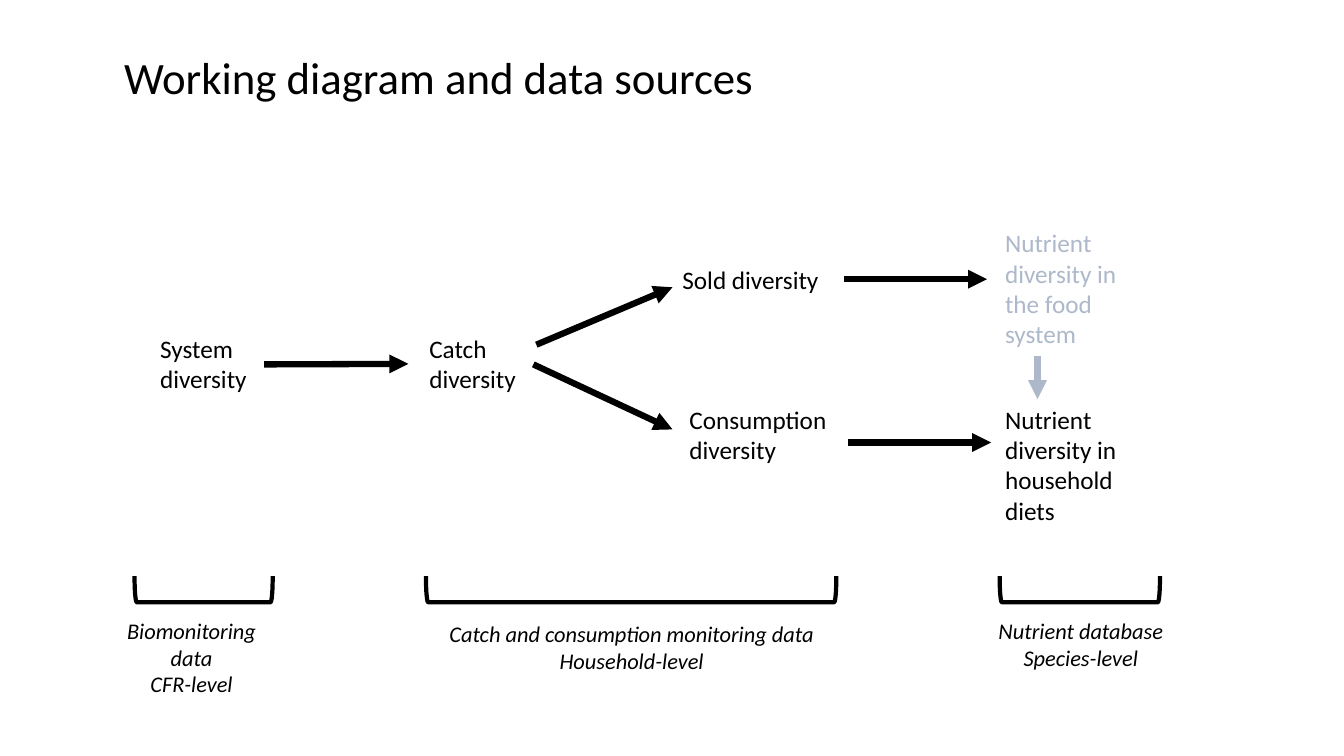
from dataclasses import dataclass

from lxml import etree
from pptx import Presentation
from pptx import util as u
from pptx.dml.color import RGBColor
from pptx.enum import shapes, text
from pptx.oxml import ns


@dataclass(frozen=True)
class Theme:
    """Fonts, colours, type sizes and line weights of the slide."""
    font: str = "Calibri"
    ink: str = "000000"
    muted: str = "ADB9CA"
    title: int = 32
    label: int = 18
    caption: int = 16
    arrow: float = 4.5
    bracket: float = 3
    cell: float = 0.1


class DiagramPage:
    """Draws diagram elements on one slide, on a grid of square cells."""

    def __init__(self, deck, theme):
        """Add a title-only slide to the deck."""
        self.theme = theme
        self.page = deck.slides.add_slide(deck.slide_layouts[5])

    def cells(self, *counts):
        """Turn counts of grid cells into lengths."""
        return [u.Inches(count * self.theme.cell) for count in counts]

    def fill_text(self, box, lines, size, color, align, italic=False):
        """Fill a box with formatted paragraphs."""
        frame = box.text_frame
        frame_format = {
            "word_wrap": True,
            "auto_size": text.MSO_AUTO_SIZE.SHAPE_TO_FIT_TEXT,
            "vertical_anchor": text.MSO_ANCHOR.TOP,
        }
        for name, value in frame_format.items():
            setattr(frame, name, value)
        font_format = {"name": self.theme.font, "size": u.Pt(size), "italic": italic}
        for index, line in enumerate(lines):
            para = frame.add_paragraph() if index else frame.paragraphs[0]
            para.alignment = align
            span = para.add_run()
            span.text = line
            for name, value in font_format.items():
                setattr(span.font, name, value)
            span.font.color.rgb = RGBColor.from_string(color)

    def title(self, line, *area):
        """Place and fill the slide title."""
        box = self.page.shapes.title
        for name, value in zip(("left", "top", "width", "height"), self.cells(*area)):
            setattr(box, name, value)
        self.fill_text(box, [line], self.theme.title, self.theme.ink,
                       text.PP_ALIGN.LEFT)

    def label(self, line, *area, color=None):
        """Add a node of the diagram and return it."""
        box = self.page.shapes.add_textbox(*self.cells(*area))
        self.fill_text(box, [line], self.theme.label, color or self.theme.ink,
                       text.PP_ALIGN.LEFT)
        return box

    def caption(self, lines, *area):
        """Add a centred italic caption."""
        box = self.page.shapes.add_textbox(*self.cells(*area))
        self.fill_text(box, lines, self.theme.caption, self.theme.ink,
                       text.PP_ALIGN.CENTER, italic=True)

    def bracket(self, left, top, width, depth):
        """Add a bracket that opens upwards over the given area."""
        shift = (width - depth) / 2
        area = self.cells(left + shift, top - shift, depth, width)
        shape = self.page.shapes.add_shape(shapes.MSO_SHAPE.LEFT_BRACKET, *area)
        shape.rotation = 270
        shape.shadow.inherit = False
        shape.fill.background()
        self.stroke(shape.line, self.theme.ink, self.theme.bracket)

    def stroke(self, line, color, weight):
        """Set the colour and weight of a line."""
        line.color.rgb = RGBColor.from_string(color)
        line.width = u.Pt(weight)

    def arrow(self, start, end, source=None, color=None):
        """Add an arrow, joined to the right side of a source if given."""
        link = self.page.shapes.add_connector(
            shapes.MSO_CONNECTOR.STRAIGHT, *self.cells(*start, *end))
        if source is not None:
            link.begin_connect(source, 3)
        self.stroke(link.line, color or self.theme.ink, self.theme.arrow)
        properties = link.element.spPr
        outline = properties.find(ns.qn("a:ln"))
        etree.SubElement(outline, ns.qn("a:tailEnd"), type="triangle")
        etree.SubElement(properties, ns.qn("a:effectLst"))


def main():
    """Build and save the slide."""
    deck = Presentation()
    deck.slide_width, deck.slide_height = u.Inches(13.33), u.Inches(7.5)
    theme = Theme()
    diagram = DiagramPage(deck, theme)
    diagram.title("Working diagram and data sources", 11.3, 4.4, 72.4, 6.4)

    for left, width in ((13.35, 13.7), (42.25, 40.7), (99.15, 15.9)):
        diagram.bracket(left, 57.15, width, 2.6)
    diagram.caption(["Biomonitoring data", "CFR-level"], 9.7, 60.7, 18.6, 9.1)
    diagram.caption(["Catch and consumption monitoring data", "Household-level"],
                    42.3, 61, 40.7, 6.4)
    diagram.caption(["Nutrient database", "Species-level"], 97.9, 60.7, 18.6, 6.4)

    system = diagram.label("System diversity", 14.9, 32.6, 11.3, 7.1)
    catch = diagram.label("Catch diversity", 41.6, 32.6, 11.3, 7.1)
    diagram.label("Sold diversity", 66.7, 25.7, 16.3, 4)
    diagram.label("Consumption diversity", 67.4, 39.6, 16.3, 7.1)
    diagram.label("Nutrient diversity in the food system", 98.7, 22.1, 16.3, 13.1,
                  color=theme.muted)
    diagram.label("Nutrient diversity in household diets", 98.7, 39.6, 16.3, 13.1)

    diagram.arrow((26.2, 36.1), (40.5, 36.1), source=system)
    diagram.arrow((52.9, 36.1), (66.7, 42.6), source=catch)
    diagram.arrow((53.2, 34.2), (66.7, 28.5))
    diagram.arrow((83.7, 27.7), (97.9, 27.7))
    diagram.arrow((84.1, 43.9), (98.3, 43.9))
    diagram.arrow((102.9, 35.3), (102.9, 39.6), color=theme.muted)

    deck.save("out.pptx")


if __name__ == "__main__":
    main()
